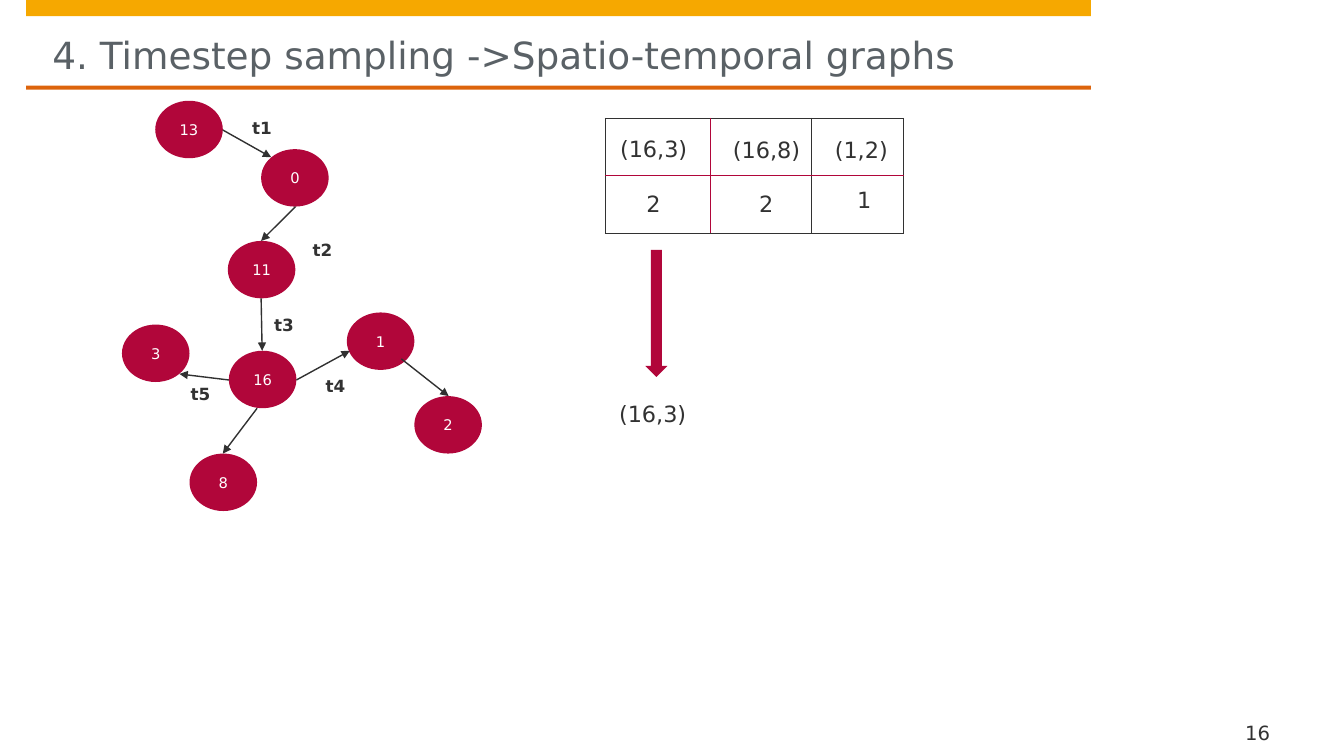
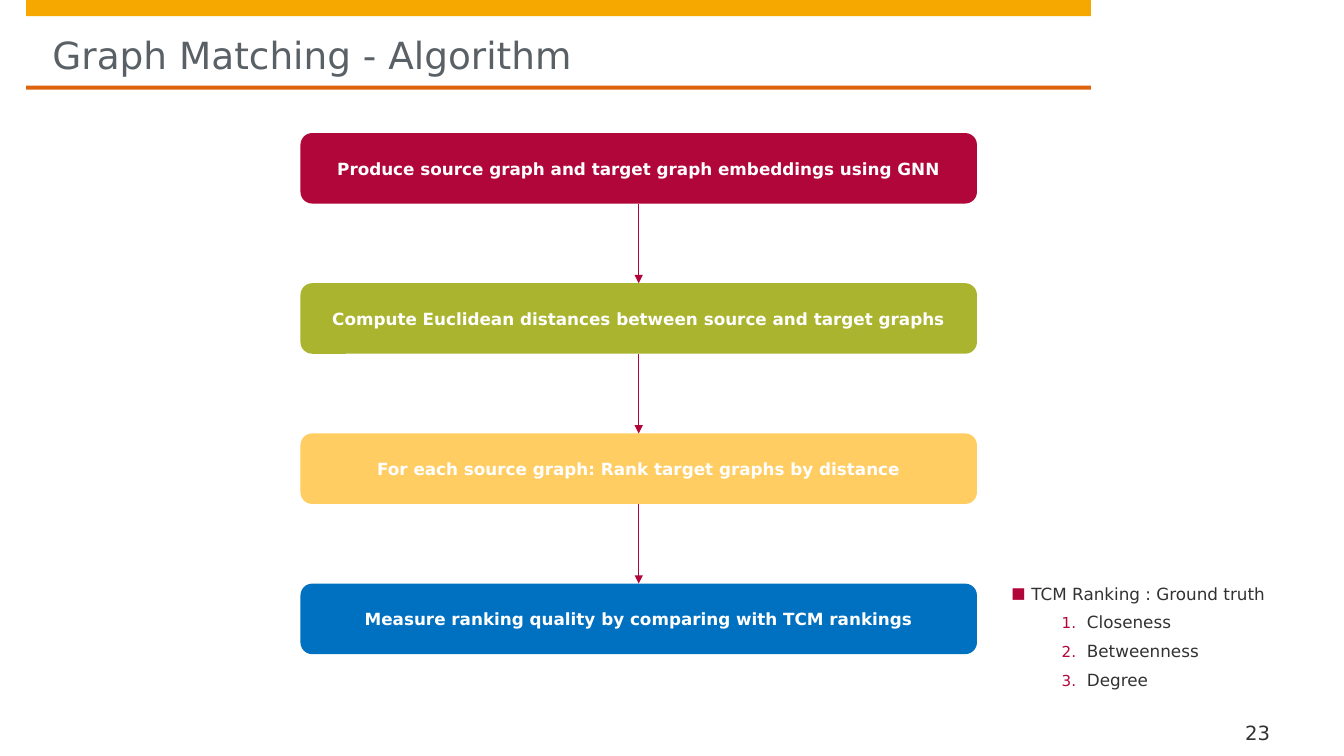
from dataclasses import dataclass

import pptx
import pptx.dml.color
import pptx.enum.shapes
import pptx.enum.text
import pptx.oxml
import pptx.oxml.ns
import pptx.util

PX = 9144
FONT = "DejaVu Sans"
COLORS = {
    "band": "F6A800",
    "rule": "DD640C",
    "title": "5A6166",
    "text": "323232",
    "edge": "313131",
    "crimson": "B1063A",
    "green": "AAB42E",
    "yellow": "FFCD61",
    "blue": "0070C0",
    "white": "FFFFFF",
}
SHAPE = pptx.enum.shapes.MSO_SHAPE
ANCHOR = pptx.enum.text.MSO_ANCHOR
ALIGN = pptx.enum.text.PP_ALIGN
NODE_WIDTH, NODE_HEIGHT = 67, 57
STEP_LEFT, STEP_TOP, STEP_WIDTH, STEP_HEIGHT, STEP_PITCH = 298, 132, 671, 70, 149


@dataclass(frozen=True)
class Box:
    left: int
    top: int
    width: int
    height: int

    def emu(self) -> tuple[int, int, int, int]:
        return self.left * PX, self.top * PX, self.width * PX, self.height * PX


@dataclass(frozen=True)
class Label:
    text: str
    left: int
    top: int


@dataclass(frozen=True)
class Edge:
    start: tuple[int, int]
    end: tuple[int, int]


@dataclass(frozen=True)
class Step:
    text: str
    color: str


@dataclass(frozen=True)
class CellText:
    text: str
    left: int
    top: int


NODES = [
    Label("13", 154, 100),
    Label("0", 259, 148),
    Label("11", 226, 239),
    Label("16", 227, 348),
    Label("1", 344, 310),
    Label("3", 121, 322),
    Label("8", 188, 450),
    Label("2", 411, 393),
]
EDGES = [
    Edge((221, 129), (269, 156)),
    Edge((293, 205), (259, 239)),
    Edge((259, 296), (260, 348)),
    Edge((255, 405), (221, 450)),
    Edge((294, 377), (347, 348)),
    Edge((398, 356), (445, 393)),
    Edge((227, 377), (178, 371)),
]
TIMES = [
    Label("t1", 250, 117),
    Label("t2", 310, 238),
    Label("t3", 272, 312),
    Label("t4", 323, 373),
    Label("t5", 189, 381),
]
COUNT_COLUMNS = [105, 100, 91]
COUNT_ROWS = [
    [CellText("(16,3)", 15, 19), CellText("(16,8)", 22, 20), CellText("(1,2)", 23, 20)],
    [CellText("2", 41, 16), CellText("2", 48, 16), CellText("1", 45, 12)],
]
STEPS = [
    Step("Produce source graph and target graph embeddings using GNN", "crimson"),
    Step("Compute Euclidean distances between source and target graphs", "green"),
    Step("For each source graph: Rank target graphs by distance", "yellow"),
    Step("Measure ranking quality by comparing with TCM rankings", "blue"),
]
CENTRALITIES = ["Closeness", "Betweenness", "Degree"]


def rgb(color: str) -> pptx.dml.color.RGBColor:
    return pptx.dml.color.RGBColor.from_string(COLORS[color])


def add_xml(parent, markup: str, index: int | None = None) -> None:
    tag, rest = markup.split(">", 1) if not markup.endswith("/>") else (markup[:-2], None)
    namespace = pptx.oxml.ns.nsdecls("a")
    tail = "/>" if rest is None else ">" + rest
    element = pptx.oxml.parse_xml(f"{tag} {namespace}{tail}")
    parent.insert(len(parent) if index is None else index, element)


def set_font(paragraph, size: float, color: str, bold: bool = False) -> None:
    paragraph.font.name = FONT
    paragraph.font.size = pptx.util.Pt(size)
    paragraph.font.bold = bold
    paragraph.font.color.rgb = rgb(color)


def set_frame(frame, anchor, left: int = 0, top: int = 0, right: int = 0, bottom: int = 0) -> None:
    frame.word_wrap = True
    frame.auto_size = pptx.enum.text.MSO_AUTO_SIZE.NONE
    frame.vertical_anchor = anchor
    frame.margin_left, frame.margin_top = left * PX, top * PX
    frame.margin_right, frame.margin_bottom = right * PX, bottom * PX


def add_filled(slide, kind, box: Box, color: str):
    shape = slide.shapes.add_shape(kind, *box.emu())
    shape.shadow.inherit = False
    shape.fill.solid()
    shape.fill.fore_color.rgb = rgb(color)
    shape.line.fill.background()
    return shape


def add_captioned(slide, kind, box: Box, color: str, text: str, size: float, bold: bool = False):
    shape = add_filled(slide, kind, box, color)
    set_frame(shape.text_frame, ANCHOR.MIDDLE, 12, 8, 12, 8)
    paragraph = shape.text_frame.paragraphs[0]
    paragraph.text = text
    paragraph.alignment = ALIGN.CENTER
    set_font(paragraph, size, "white", bold)
    return shape


def add_text(slide, box: Box, text: str, size: float, bold: bool = False,
             anchor=ANCHOR.TOP, left: int = 0):
    shape = slide.shapes.add_textbox(*box.emu())
    set_frame(shape.text_frame, anchor, left)
    paragraph = shape.text_frame.paragraphs[0]
    paragraph.text = text
    set_font(paragraph, size, "text", bold)
    return shape


def add_arrow(slide, edge: Edge, color: str, width: float):
    points = [value * PX for value in (*edge.start, *edge.end)]
    connector = slide.shapes.add_connector(pptx.enum.shapes.MSO_CONNECTOR.STRAIGHT, *points)
    connector.line.color.rgb = rgb(color)
    connector.line.width = pptx.util.Pt(width)
    properties = connector.element.spPr
    add_xml(properties.find(pptx.oxml.ns.qn("a:ln")), '<a:tailEnd type="triangle"/>')
    add_xml(properties, "<a:effectLst/>")
    return connector


def add_titled_slide(presentation, title: str, number: str):
    slide = presentation.slides.add_slide(presentation.slide_layouts[5])
    add_filled(slide, SHAPE.RECTANGLE, Box(26, 0, 1056, 16), "band")
    add_filled(slide, SHAPE.RECTANGLE, Box(26, 85, 1056, 4), "rule")
    placeholder = slide.shapes.title
    placeholder.left, placeholder.top, placeholder.width, placeholder.height = Box(
        52, 16, 1003, 61).emu()
    set_frame(placeholder.text_frame, ANCHOR.TOP, top=16)
    paragraph = placeholder.text_frame.paragraphs[0]
    paragraph.text = title
    paragraph.alignment = ALIGN.LEFT
    set_font(paragraph, 26.7, "title")
    add_text(slide, Box(1223, 709, 84, 29), number, 14, anchor=ANCHOR.BOTTOM, left=12)
    return slide


def set_borders(cell, sides: dict[str, tuple[str, float]]) -> None:
    properties = cell._tc.get_or_add_tcPr()
    for index, (side, (color, width)) in enumerate(sides.items()):
        add_xml(properties, f'<a:ln{side} w="{pptx.util.Pt(width)}"><a:solidFill>'
                f'<a:srgbClr val="{COLORS[color]}"/></a:solidFill></a:ln{side}>', index)


def add_count_table(slide) -> None:
    box = Box(600, 117, sum(COUNT_COLUMNS), 114)
    table = slide.shapes.add_table(len(COUNT_ROWS), len(COUNT_COLUMNS), *box.emu()).table
    table.first_row = table.horz_banding = False
    outer, inner, divider = ("text", 0.25), ("crimson", 0.75), ("text", 1)
    verticals = [outer, inner, divider, outer]
    horizontals = [outer, inner, outer]
    for column, width in zip(table.columns, COUNT_COLUMNS):
        column.width = width * PX
    for row_index, row in enumerate(COUNT_ROWS):
        for column_index, content in enumerate(row):
            cell = table.cell(row_index, column_index)
            cell.fill.background()
            cell.margin_left, cell.margin_top = content.left * PX, content.top * PX
            cell.margin_right = cell.margin_bottom = 0
            paragraph = cell.text_frame.paragraphs[0]
            paragraph.text = content.text
            set_font(paragraph, 16, "text")
            set_borders(cell, {
                "L": verticals[column_index],
                "R": verticals[column_index + 1],
                "T": horizontals[row_index],
                "B": horizontals[row_index + 1],
            })


def set_bullet(paragraph, marker: str, margin: int, hanging: int) -> None:
    properties = paragraph._p.get_or_add_pPr()
    properties.set("marL", str(margin * PX))
    properties.set("indent", str(-hanging * PX))
    add_xml(properties, f'<a:buClr><a:srgbClr val="{COLORS["crimson"]}"/></a:buClr>')
    add_xml(properties, '<a:buSzPct val="90000"/>')
    add_xml(properties, f'<a:buFont typeface="{FONT}"/>')
    add_xml(properties, marker)


def add_ranking_list(slide) -> None:
    frame = slide.shapes.add_textbox(*Box(1003, 579, 268, 100).emu()).text_frame
    set_frame(frame, ANCHOR.TOP)
    heading = frame.paragraphs[0]
    heading.text = "TCM Ranking : Ground truth"
    heading.space_after = pptx.util.Pt(3)
    set_bullet(heading, '<a:buChar char="■"/>', 20, 20)
    set_font(heading, 12, "text")
    for centrality in CENTRALITIES:
        paragraph = frame.add_paragraph()
        paragraph.text = centrality
        paragraph.level = 1
        paragraph.space_before = paragraph.space_after = pptx.util.Pt(3)
        set_bullet(paragraph, '<a:buAutoNum type="arabicPeriod"/>', 75, 25)
        set_font(paragraph, 12, "text")


def build_sampling_slide(presentation) -> None:
    slide = add_titled_slide(
        presentation, "4. Timestep sampling ->Spatio-temporal graphs", "16")
    for node in NODES:
        box = Box(node.left, node.top, NODE_WIDTH, NODE_HEIGHT)
        add_captioned(slide, SHAPE.OVAL, box, "crimson", node.text, 10.5)
    for edge in EDGES:
        add_arrow(slide, edge, "edge", 1)
    for time in TIMES:
        add_text(slide, Box(time.left, time.top, 43, 25), time.text, 12, bold=True)
    add_count_table(slide)
    add_filled(slide, SHAPE.DOWN_ARROW, Box(640, 248, 22, 126), "crimson")
    add_text(slide, Box(614, 397, 71, 25), "(16,3)", 16)


def build_algorithm_slide(presentation) -> None:
    slide = add_titled_slide(presentation, "Graph Matching - Algorithm", "23")
    boxes = []
    for index, step in enumerate(STEPS):
        box = Box(STEP_LEFT, STEP_TOP + index * STEP_PITCH, STEP_WIDTH, STEP_HEIGHT)
        boxes.append(add_captioned(
            slide, SHAPE.ROUNDED_RECTANGLE, box, step.color, step.text, 12, bold=True))
    for upper, lower in zip(boxes, boxes[1:]):
        connector = add_arrow(slide, Edge((0, 0), (0, 0)), "crimson", 0.75)
        connector.begin_connect(upper, 2)
        connector.end_connect(lower, 0)
    add_ranking_list(slide)


def main() -> None:
    presentation = pptx.Presentation()
    presentation.slide_width, presentation.slide_height = 1333 * PX, 750 * PX
    build_sampling_slide(presentation)
    build_algorithm_slide(presentation)
    presentation.save("out.pptx")


if __name__ == "__main__":
    main()
